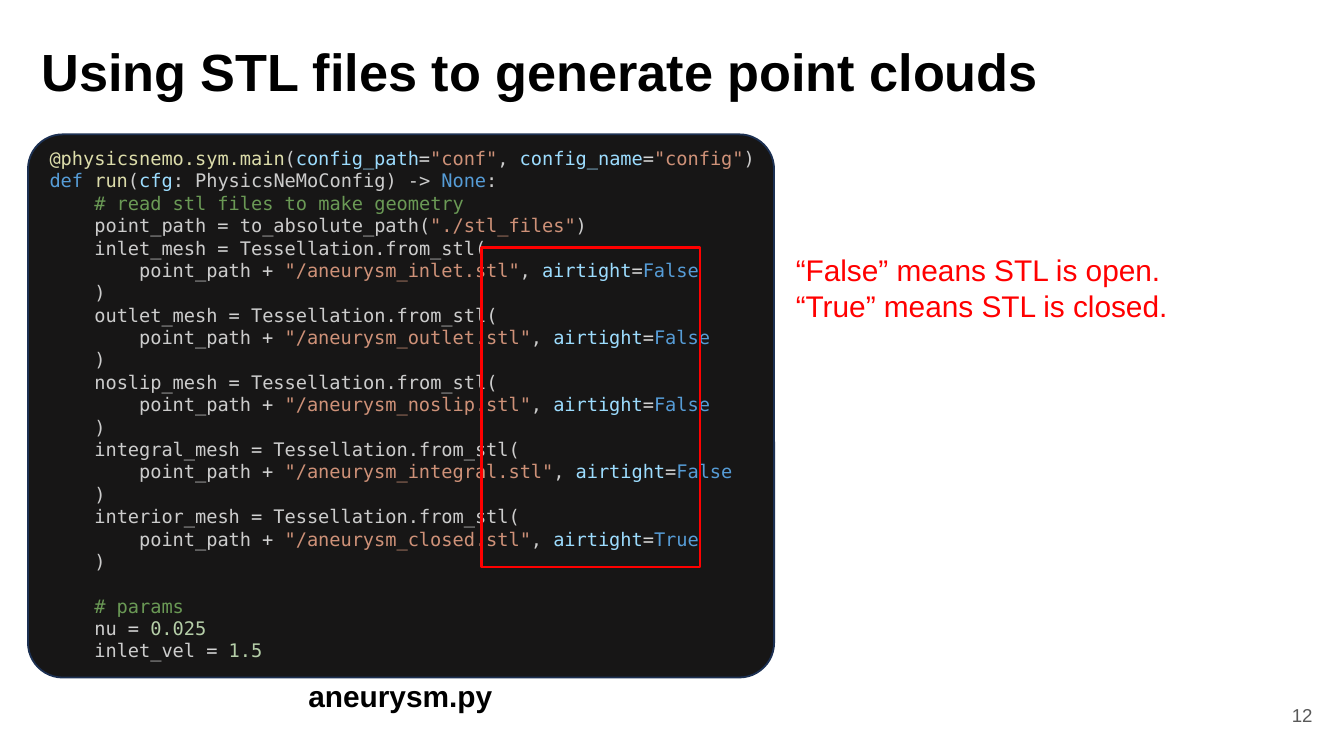
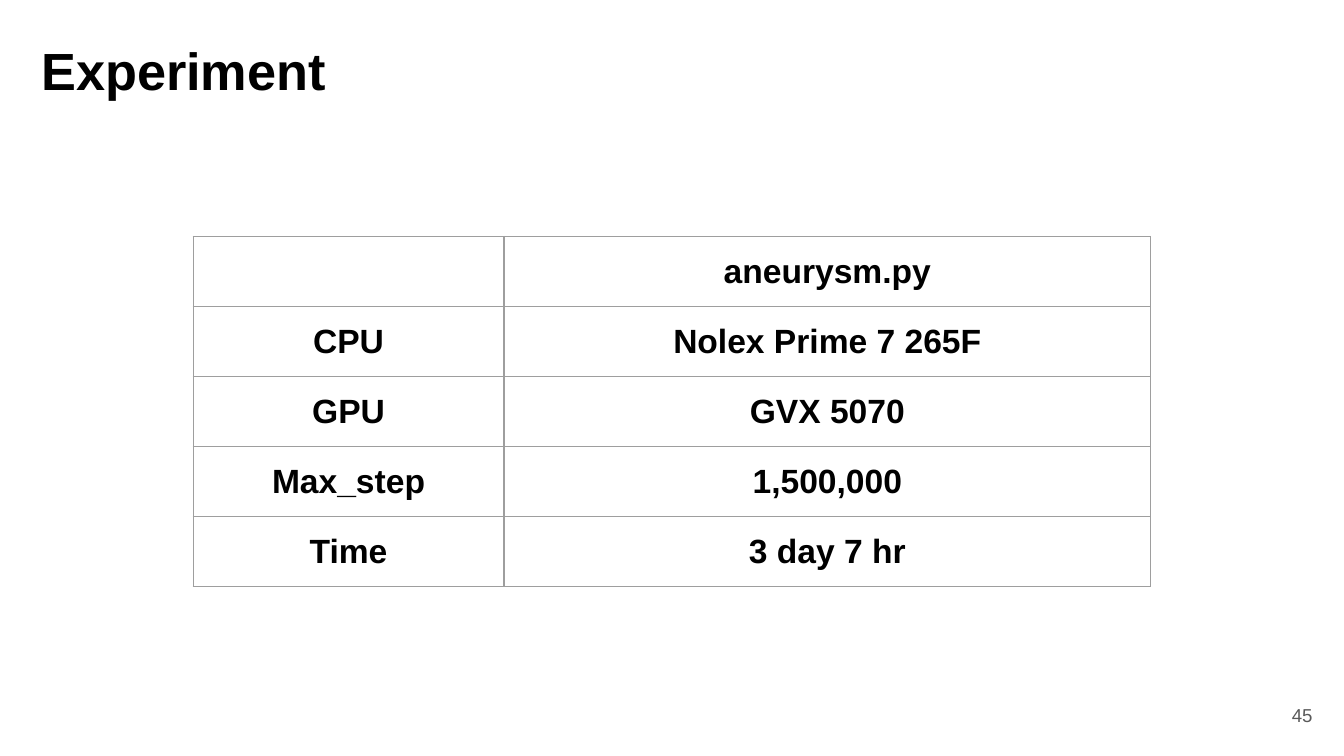
from pptx import Presentation
from pptx.dml.color import RGBColor
from pptx.enum.shapes import MSO_SHAPE
from pptx.enum.text import MSO_ANCHOR, MSO_AUTO_SIZE, PP_ALIGN
from pptx.oxml import parse_xml
from pptx.oxml.ns import nsdecls
from pptx.util import Pt

# Shared sizes, fonts and colours
EMU_PER_PX = 9525  # 96 px to the inch
ROUNDED, RECTANGLE = MSO_SHAPE.ROUNDED_RECTANGLE, MSO_SHAPE.RECTANGLE
TOP, MIDDLE, BOTTOM = MSO_ANCHOR.TOP, MSO_ANCHOR.MIDDLE, MSO_ANCHOR.BOTTOM
LEFT, CENTER, RIGHT = PP_ALIGN.LEFT, PP_ALIGN.CENTER, PP_ALIGN.RIGHT
NO_AUTOFIT = MSO_AUTO_SIZE.NONE
SANS, MONO = "Arial", "DejaVu Sans Mono"
BLACK, GREY, RED = "000000", "595959", "FF0000"
PANEL, PANEL_EDGE, TABLE_EDGE = "171616", "1C3052", "9E9E9E"

# Syntax colours of the code listing
PLAIN, OPERATOR, STRING, NAME = "CCCCCC", "D4D4D4", "CE9178", "9CDCFE"
KEYWORD, FUNCTION, COMMENT, NUMBER = "569CD6", "DCDCAA", "6A9955", "B5CEA8"


def color(value):
    return RGBColor.from_string(value)


def write(frame, lines, size, font=SANS, bold=False, align=LEFT, anchor=TOP, inset=10):
    """Fill a text frame with lines, each a list of (text, colour) spans."""
    frame.word_wrap = True
    frame.auto_size = NO_AUTOFIT
    frame.vertical_anchor = anchor
    frame.margin_top = frame.margin_bottom = inset * EMU_PER_PX
    for index, spans in enumerate(lines):
        para = frame.paragraphs[0] if index == 0 else frame.add_paragraph()
        para.alignment = align
        for text, text_color in spans:
            span = para.add_run()
            span.text = text
            span.font.name = font
            span.font.size = Pt(size)
            span.font.bold = bold
            span.font.color.rgb = color(text_color)


deck = Presentation()
deck.slide_width = 960 * EMU_PER_PX
deck.slide_height = 540 * EMU_PER_PX
title_only = deck.slide_layouts[5]

# Titles and page numbers
pages = []
for heading, title_width, line_spacing, number in [
    ("Using STL files to generate point clouds", 801, 1.25, "12"),
    ("Experiment", 702, 0.9, "45"),
]:
    page = deck.slides.add_slide(title_only)
    title = page.shapes.title
    title.left, title.top, title.width, title.height = (
        length * EMU_PER_PX for length in (20, 29, title_width, 54))
    write(title.text_frame, [[(heading, BLACK)]], 28, bold=True, anchor=BOTTOM)
    title.text_frame.paragraphs[0].line_spacing = line_spacing
    box = page.shapes.add_textbox(
        *(length * EMU_PER_PX for length in (889, 490, 58, 41)))
    write(box.text_frame, [[(number, GREY)]], 10, align=RIGHT, anchor=MIDDLE)
    pages.append(page)
code_page, experiment_page = pages

# Code panel
panel = code_page.shapes.add_shape(
    ROUNDED, *(length * EMU_PER_PX for length in (20, 96, 533, 388)))
panel.adjustments[0] = 0.064
panel.shadow.inherit = False
panel.fill.solid()
panel.fill.fore_color.rgb = color(PANEL)
panel.line.color.rgb = color(PANEL_EDGE)
panel.line.width = Pt(0.97)

# Code listing
code = [
    [("@physicsnemo.sym.main", FUNCTION), ("(", PLAIN), ("config_path", NAME),
     ("=", OPERATOR), ('"conf"', STRING), (", ", PLAIN), ("config_name", NAME),
     ("=", OPERATOR), ('"config"', STRING), (")", PLAIN)],
    [("def ", KEYWORD), ("run", FUNCTION), ("(", PLAIN), ("cfg", NAME),
     (": PhysicsNeMoConfig) -> ", PLAIN), ("None", KEYWORD), (":", PLAIN)],
    [("    ", PLAIN), ("# read stl files to make geometry", COMMENT)],
    [("    point_path ", PLAIN), ("=", OPERATOR), (" to_absolute_path(", PLAIN),
     ('"./stl_files"', STRING), (")", PLAIN)],
]
for mesh, file_stem, airtight in [
    ("inlet", "inlet", "False"),
    ("outlet", "outlet", "False"),
    ("noslip", "noslip", "False"),
    ("integral", "integral", "False"),
    ("interior", "closed", "True"),
]:
    code += [
        [(f"    {mesh}_mesh ", PLAIN), ("=", OPERATOR),
         (" Tessellation.from_stl(", PLAIN)],
        [("        point_path ", PLAIN), ("+ ", OPERATOR),
         (f'"/aneurysm_{file_stem}.stl"', STRING), (", ", PLAIN),
         ("airtight", NAME), ("=", OPERATOR), (airtight, KEYWORD)],
        [("    )", PLAIN)],
    ]
params_line = len(code)
code += [
    [("    ", PLAIN), ("# params", COMMENT)],
    [("    nu ", PLAIN), ("= ", OPERATOR), ("0.025", NUMBER)],
    [("    inlet_vel ", PLAIN), ("= ", OPERATOR), ("1.5", NUMBER)],
]
listing = code_page.shapes.add_textbox(
    *(length * EMU_PER_PX for length in (26, 96, 533, 388)))
write(listing.text_frame, code, 10, font=MONO, inset=9)
for para in listing.text_frame.paragraphs:
    para.line_spacing = Pt(12)
listing.text_frame.paragraphs[params_line].space_before = Pt(12)

# Frame around the airtight arguments
highlight = code_page.shapes.add_shape(
    RECTANGLE, *(length * EMU_PER_PX for length in (344, 177, 156, 228)))
highlight.shadow.inherit = False
highlight.fill.background()
highlight.line.color.rgb = color(RED)
highlight.line.width = Pt(1.5)

# Explanation and file name
note = code_page.shapes.add_textbox(
    *(length * EMU_PER_PX for length in (559, 170, 401, 71)))
write(note.text_frame, [[("“False” means STL is open.", RED)],
                        [("“True” means STL is closed.", RED)]], 16)
caption = code_page.shapes.add_textbox(
    *(length * EMU_PER_PX for length in (46, 479, 480, 36)))
write(caption.text_frame, [[("aneurysm.py", BLACK)]], 16,
      bold=True, align=CENTER, inset=5)

# Experiment table
rows = [
    ("", "aneurysm.py"),
    ("CPU", "Nolex Prime 7 265F"),
    ("GPU", "GVX 5070"),
    ("Max_step", "1,500,000"),
    ("Time", "3 day 7 hr"),
]
table = experiment_page.shapes.add_table(
    len(rows), 2, *(length * EMU_PER_PX for length in (138, 169, 684, 250))).table
table.first_row = table.horz_banding = False
for column, width in zip(table.columns, (222, 462)):
    column.width = width * EMU_PER_PX
for row_index, texts in enumerate(rows):
    table.rows[row_index].height = 50 * EMU_PER_PX
    for column_index, text in enumerate(texts):
        cell = table.cell(row_index, column_index)
        cell.vertical_anchor = MIDDLE
        cell.margin_top = cell.margin_bottom = 10 * EMU_PER_PX
        properties = cell._tc.get_or_add_tcPr()
        for side in ("lnL", "lnR", "lnT", "lnB"):
            properties.append(parse_xml(
                f'<a:{side} {nsdecls("a")} w="{Pt(0.75)}"><a:solidFill>'
                f'<a:srgbClr val="{TABLE_EDGE}"/></a:solidFill></a:{side}>'))
        cell.fill.background()
        para = cell.text_frame.paragraphs[0]
        para.alignment = CENTER
        if text:
            span = para.add_run()
            span.text = text
            span.font.name = SANS
            span.font.size = Pt(18)
            span.font.bold = True
            span.font.color.rgb = color(BLACK)

deck.save("out.pptx")
